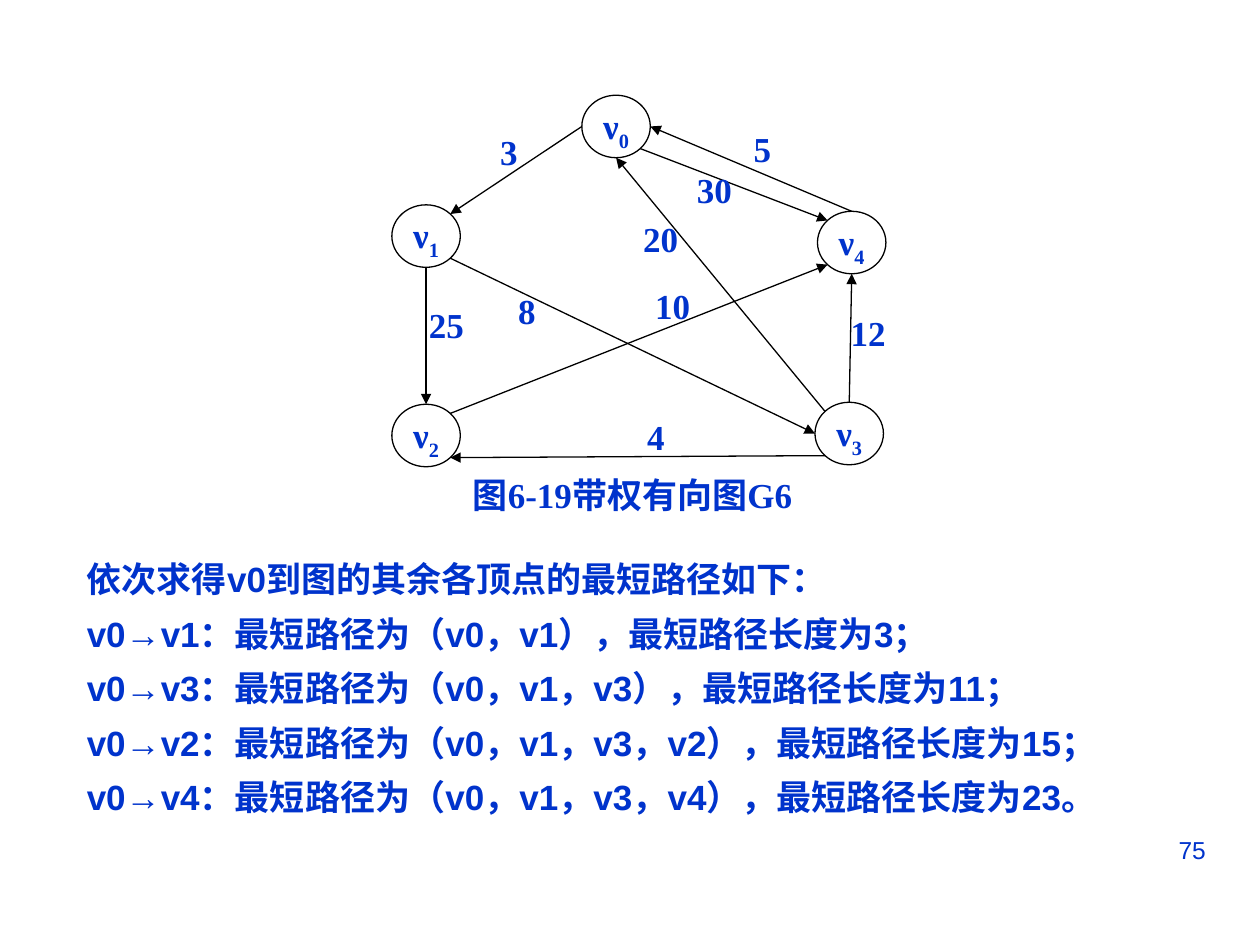
from dataclasses import dataclass
from enum import Enum
from math import cos, radians, sin

from lxml.etree import SubElement
from pptx import Presentation
from pptx.dml.color import RGBColor
from pptx.enum.shapes import MSO_CONNECTOR, MSO_SHAPE
from pptx.enum.text import MSO_ANCHOR, MSO_AUTO_SIZE, PP_ALIGN
from pptx.oxml.ns import qn
from pptx.shapes.autoshape import Shape
from pptx.slide import Slide
from pptx.text.text import _Paragraph as Paragraph
from pptx.util import Cm, Pt

BLUE = RGBColor(0x00, 0x33, 0xCC)
BLACK = RGBColor(0x00, 0x00, 0x00)
WHITE = RGBColor(0xFF, 0xFF, 0xFF)
SERIF = "Times New Roman"
SANS = "Arial"
VERTEX_WIDTH = 1.38
VERTEX_HEIGHT = 1.26
LABEL_WIDTH = 0.76
LABEL_HEIGHT = 0.84


class Side(Enum):
    RIGHT = 0
    BOTTOM_RIGHT = 45
    BOTTOM = 90
    BOTTOM_LEFT = 135
    LEFT = 180
    TOP_LEFT = 225
    TOP = 270
    TOP_RIGHT = 315


@dataclass(frozen=True)
class Vertex:
    index: str
    x: float
    y: float

    def point(self, side: Side) -> tuple[Cm, Cm]:
        angle = radians(side.value)
        return (
            Cm(self.x + VERTEX_WIDTH / 2 * cos(angle)),
            Cm(self.y + VERTEX_HEIGHT / 2 * sin(angle)),
        )


@dataclass(frozen=True)
class Edge:
    source: Vertex
    source_side: Side
    target: Vertex
    target_side: Side
    weight: str
    label_center: float
    label_top: float


V0 = Vertex("0", 12.42, 2.55)
V1 = Vertex("1", 8.59, 4.76)
V2 = Vertex("2", 8.59, 8.78)
V3 = Vertex("3", 17.12, 8.74)
V4 = Vertex("4", 17.17, 4.89)
VERTICES = [V0, V1, V4, V2, V3]

EDGES = [
    Edge(V0, Side.LEFT, V1, Side.TOP_RIGHT, "3", 10.26, 2.64),
    Edge(V4, Side.TOP, V0, Side.RIGHT, "5", 15.37, 2.57),
    Edge(V3, Side.TOP_LEFT, V0, Side.BOTTOM, "20", 13.32, 4.39),
    Edge(V3, Side.TOP, V4, Side.BOTTOM, "12", 17.5, 6.27),
    Edge(V3, Side.BOTTOM_LEFT, V2, Side.BOTTOM_RIGHT, "4", 13.22, 8.38),
    Edge(V1, Side.BOTTOM, V2, Side.TOP, "25", 9.0, 6.12),
    Edge(V1, Side.BOTTOM_RIGHT, V3, Side.LEFT, "8", 10.62, 5.84),
    Edge(V2, Side.TOP_RIGHT, V4, Side.BOTTOM_LEFT, "10", 13.56, 5.74),
    Edge(V0, Side.BOTTOM_RIGHT, V4, Side.TOP_LEFT, "30", 14.4, 3.4),
]

SHORTEST_PATHS = [
    "依次求得v0到图的其余各顶点的最短路径如下：",
    "v0→v1：最短路径为（v0，v1），最短路径长度为3；",
    "v0→v3：最短路径为（v0，v1，v3），最短路径长度为11；",
    "v0→v2：最短路径为（v0，v1，v3，v2），最短路径长度为15；",
    "v0→v4：最短路径为（v0，v1，v3，v4），最短路径长度为23。",
]


def add_run(paragraph: Paragraph, text: str, font_name: str = SERIF,
            size: int = 20, bold: bool = True, subscript: bool = False) -> None:
    run = paragraph.add_run()
    run.text = text
    run.font.name = font_name
    run.font.size = Pt(size)
    run.font.bold = bold
    run.font.color.rgb = BLUE
    if subscript:
        run.font._element.set("baseline", "-25000")


def clear_margins(shape: Shape) -> None:
    frame = shape.text_frame
    frame.margin_left = frame.margin_right = Cm(0)
    frame.margin_top = frame.margin_bottom = Cm(0)


def add_text_box(slide: Slide, left: float, top: float, width: float, height: float) -> Shape:
    shape = slide.shapes.add_textbox(Cm(left), Cm(top), Cm(width), Cm(height))
    shape.text_frame.word_wrap = True
    return shape


def add_label(slide: Slide, text: str, center: float, top: float, width: float) -> None:
    shape = add_text_box(slide, center - width / 2, top, width, LABEL_HEIGHT)
    clear_margins(shape)
    shape.text_frame.auto_size = MSO_AUTO_SIZE.SHAPE_TO_FIT_TEXT
    paragraph = shape.text_frame.paragraphs[0]
    paragraph.alignment = PP_ALIGN.CENTER
    add_run(paragraph, text)


def add_vertex(slide: Slide, vertex: Vertex) -> None:
    shape = slide.shapes.add_shape(
        MSO_SHAPE.OVAL,
        Cm(vertex.x - VERTEX_WIDTH / 2), Cm(vertex.y - VERTEX_HEIGHT / 2),
        Cm(VERTEX_WIDTH), Cm(VERTEX_HEIGHT),
    )
    shape.shadow.inherit = False
    shape.fill.solid()
    shape.fill.fore_color.rgb = WHITE
    shape.line.color.rgb = BLACK
    shape.line.width = Pt(0.75)
    clear_margins(shape)
    shape.text_frame.vertical_anchor = MSO_ANCHOR.TOP
    paragraph = shape.text_frame.paragraphs[0]
    paragraph.alignment = PP_ALIGN.CENTER
    add_run(paragraph, "ν")
    add_run(paragraph, vertex.index, subscript=True)


def add_edge(slide: Slide, edge: Edge) -> None:
    connector = slide.shapes.add_connector(
        MSO_CONNECTOR.STRAIGHT,
        *edge.source.point(edge.source_side),
        *edge.target.point(edge.target_side),
    )
    connector.line.color.rgb = BLACK
    connector.line.width = Pt(0.75)
    SubElement(connector.line._get_or_add_ln(), qn("a:tailEnd"), type="triangle")
    SubElement(connector._element.spPr, qn("a:effectLst"))
    add_label(slide, edge.weight, edge.label_center, edge.label_top, LABEL_WIDTH)


def add_shortest_paths(slide: Slide) -> None:
    frame = add_text_box(slide, 1.5, 10.85, 22.81, 5.77).text_frame
    frame.auto_size = MSO_AUTO_SIZE.SHAPE_TO_FIT_TEXT
    frame.vertical_anchor = MSO_ANCHOR.MIDDLE
    for position, line in enumerate(SHORTEST_PATHS):
        paragraph = frame.add_paragraph() if position else frame.paragraphs[0]
        paragraph.line_spacing = 1.3
        add_run(paragraph, line, SANS)


def add_page_number(slide: Slide) -> None:
    shape = add_text_box(slide, 18.21, 16.71, 6.35, 1.32)
    paragraph = shape.text_frame.paragraphs[0]
    paragraph.alignment = PP_ALIGN.RIGHT
    add_run(paragraph, "75", SANS, size=14, bold=False)


def main() -> None:
    presentation = Presentation()
    presentation.slide_width = Cm(25.4)
    presentation.slide_height = Cm(19.05)
    slide = presentation.slides.add_slide(presentation.slide_layouts[6])
    add_page_number(slide)
    for vertex in VERTICES:
        add_vertex(slide, vertex)
    for edge in EDGES:
        add_edge(slide, edge)
    add_label(slide, "图6-19带权有向图G6", 12.75, 9.55, 8.28)
    add_shortest_paths(slide)
    presentation.save("out.pptx")


if __name__ == "__main__":
    main()
